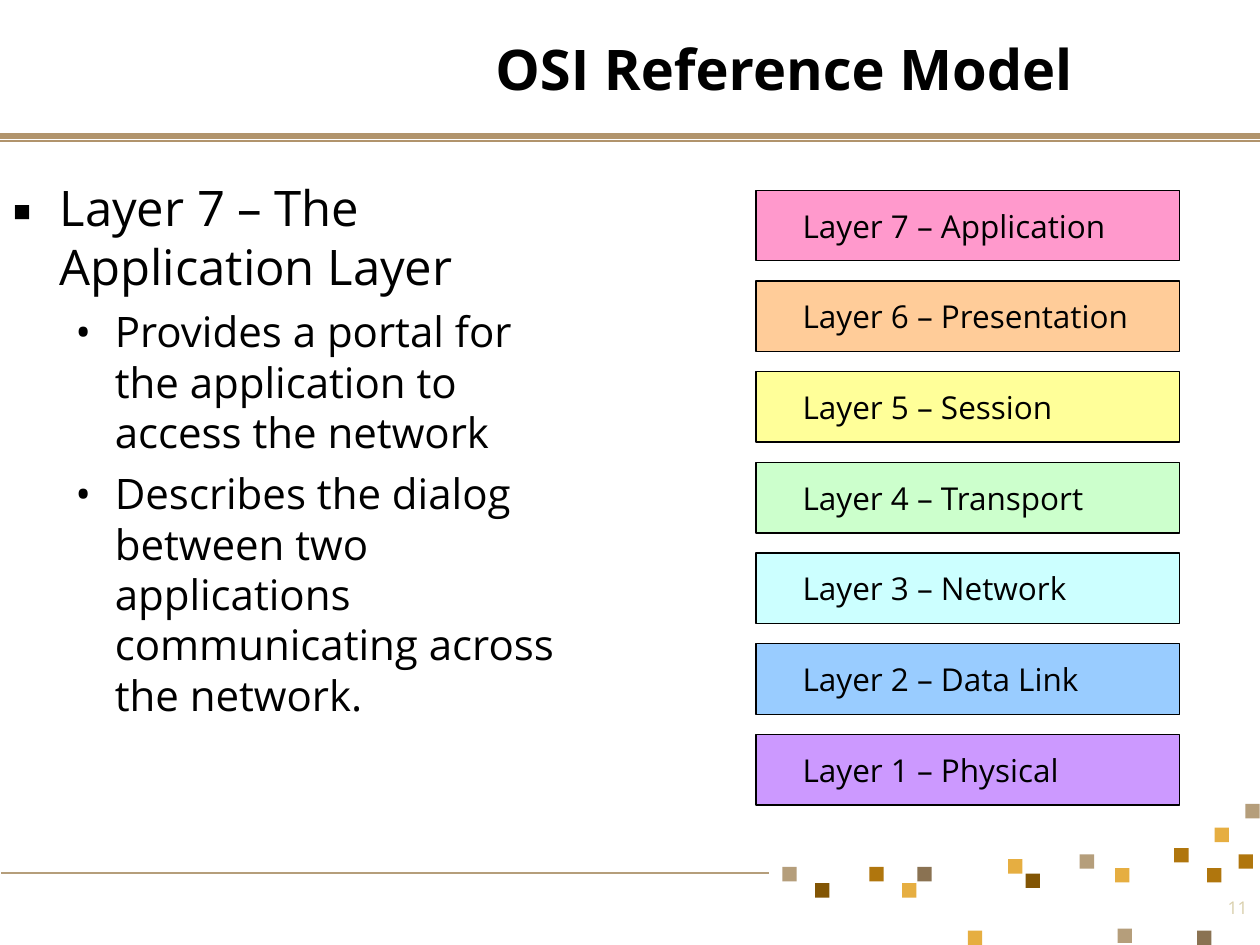
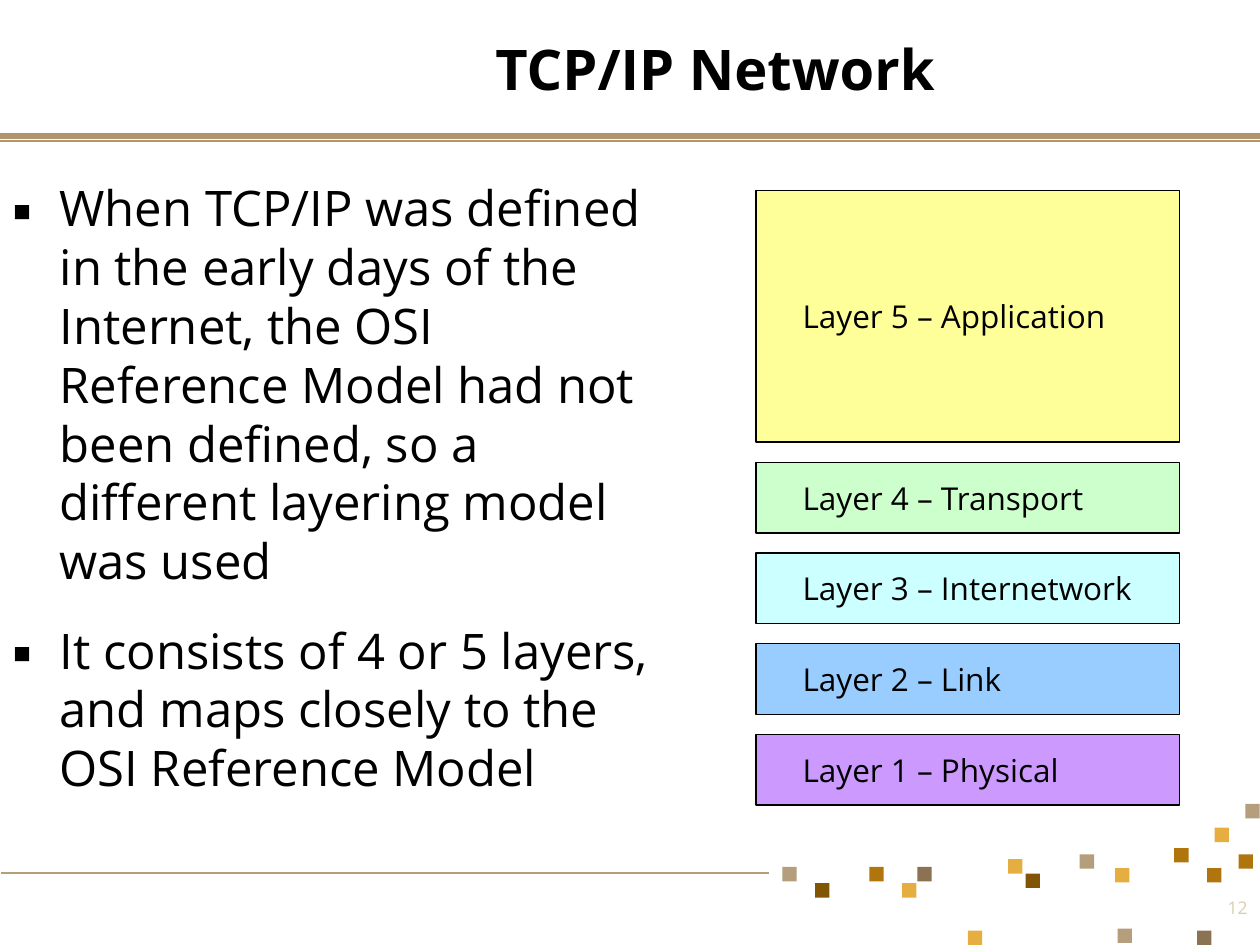
import pptx
import pptx.dml.color
import pptx.enum.shapes
import pptx.enum.text
import pptx.oxml.ns
import pptx.util
from lxml import etree

Pt = pptx.util.Pt
RGBColor = pptx.dml.color.RGBColor
Align = pptx.enum.text.PP_ALIGN
Anchor = pptx.enum.text.MSO_ANCHOR
RECTANGLE = pptx.enum.shapes.MSO_SHAPE.RECTANGLE
STRAIGHT = pptx.enum.shapes.MSO_CONNECTOR.STRAIGHT
qn = pptx.oxml.ns.qn

FONT = "Open Sans"
BLACK = RGBColor(0x00, 0x00, 0x00)
BAND = RGBColor(0xB1, 0x94, 0x6C)
TAN = RGBColor(0xB5, 0x9E, 0x7B)
GOLD = RGBColor(0xE6, 0xAE, 0x41)
AMBER = RGBColor(0xB0, 0x76, 0x0D)
BROWN = RGBColor(0x82, 0x55, 0x04)
TAUPE = RGBColor(0x8A, 0x72, 0x52)
PALE = RGBColor(0xD9, 0xCF, 0xAB)
PINK = RGBColor(0xFF, 0x99, 0xCC)
ORANGE = RGBColor(0xFF, 0xCC, 0x99)
YELLOW = RGBColor(0xFF, 0xFF, 0x99)
GREEN = RGBColor(0xCC, 0xFF, 0xCC)
CYAN = RGBColor(0xCC, 0xFF, 0xFF)
BLUE = RGBColor(0x99, 0xCC, 0xFF)
PURPLE = RGBColor(0xCC, 0x99, 0xFF)

# Points are (level, text); layers are (name, colour, rows), top to bottom.
PAGES = [
    {
        "title": "OSI Reference Model",
        "number": "11",
        "body_width": 342,
        "points": [
            (0, "Layer 7 – The Application Layer"),
            (1, "Provides a portal for the application to access the network"),
            (1, "Describes the dialog between two applications communicating "
                "across the network."),
        ],
        "layers": [
            ("Application", PINK, 1),
            ("Presentation", ORANGE, 1),
            ("Session", YELLOW, 1),
            ("Transport", GREEN, 1),
            ("Network", CYAN, 1),
            ("Data Link", BLUE, 1),
            ("Physical", PURPLE, 1),
        ],
    },
    {
        "title": "TCP/IP Network",
        "number": "12",
        "body_width": 378,
        "points": [
            (0, "When TCP/IP was defined in the early days of the Internet, "
                "the OSI Reference Model had not been defined, so a different "
                "layering model was used"),
            (0, "It consists of 4 or 5 layers, and maps closely to the "
                "OSI Reference Model"),
        ],
        "layers": [
            ("Application", YELLOW, 3),
            ("Transport", GREEN, 1),
            ("Internetwork", CYAN, 1),
            ("Link", BLUE, 1),
            ("Physical", PURPLE, 1),
        ],
    },
]

# Rules are (left, right, y, colour, weight).
RULES = [
    (0, 720, 77.8, BAND, 3),
    (0, 720, 80.6, BAND, 1),
    (0.7, 439.2, 499, TAN, 1),
]

CONFETTI = {
    GOLD: [(694, 473), (637.2, 496.1), (553, 531.8), (515.5, 504.7), (576, 491)],
    TAN: [(638.6, 530.6), (617, 488.2), (447.1, 495.4), (711.6, 459.4)],
    AMBER: [(707.8, 488.2), (689.8, 496.1), (671, 484.6), (496.8, 495.4)],
    BROWN: [(465.8, 504.7), (586.1, 499.2)],
    TAUPE: [(524.2, 495.4), (684, 531.8)],
}
CONFETTI_SIZE = 8.2

# Bullet levels: symbol, text size, text indent, hang and space before.
LEVELS = [
    {"bullet": "▪", "size": 28, "indent": 27, "hang": 27, "before": 17.5},
    {"bullet": "•", "size": 24, "indent": 58.5, "hang": 22.5, "before": 6},
]

STACK_LEFT, STACK_TOP, STACK_WIDTH = 432, 108.72, 241.92
ROW_HEIGHT, ROW_PITCH = 40.32, 51.84


def write(frame, text, size=18, color=BLACK, bold=False, align=Align.LEFT,
          bullet=None, indent=0, hang=0, before=0):
    """Add a paragraph to the frame, filling its empty first one if there is one."""
    first = not frame.text
    para = frame.paragraphs[0] if first else frame.add_paragraph()
    para.alignment = align
    if bullet:
        props = para._p.get_or_add_pPr()
        props.set("marL", str(Pt(indent)))
        props.set("indent", str(-Pt(hang)))
        tint = etree.SubElement(props, qn("a:buClr"))
        etree.SubElement(tint, qn("a:srgbClr"), val=str(color))
        etree.SubElement(props, qn("a:buFont"), typeface=FONT)
        etree.SubElement(props, qn("a:buChar"), char=bullet)
    if before and not first:
        para.space_before = Pt(before)
    span = para.add_run()
    span.text = text
    span.font.name = FONT
    span.font.size = Pt(size)
    span.font.bold = bold
    span.font.color.rgb = color


def add_frame(page, left, top, width, height, anchor=Anchor.TOP):
    box = page.shapes.add_textbox(Pt(left), Pt(top), Pt(width), Pt(height))
    frame = box.text_frame
    frame.word_wrap = True
    frame.vertical_anchor = anchor
    return frame


def add_block(page, left, top, width, height, fill, outline=None):
    block = page.shapes.add_shape(
        RECTANGLE, Pt(left), Pt(top), Pt(width), Pt(height))
    block.shadow.inherit = False
    block.fill.solid()
    block.fill.fore_color.rgb = fill
    if outline is None:
        block.line.fill.background()
    else:
        block.line.color.rgb = outline
        block.line.width = Pt(0.75)
    return block


def add_rule(page, left, right, y, color, weight):
    rule = page.shapes.add_connector(STRAIGHT, Pt(left), Pt(y), Pt(right), Pt(y))
    rule.line.color.rgb = color
    rule.line.width = Pt(weight)
    etree.SubElement(rule._element.spPr, qn("a:effectLst"))


def add_decoration(page):
    for rule in RULES:
        add_rule(page, *rule)
    for color, corners in CONFETTI.items():
        for left, top in corners:
            add_block(page, left, top, CONFETTI_SIZE, CONFETTI_SIZE, color)


def add_layer_stack(page, layers):
    """Stack the layers downwards, numbering them from the bottom."""
    row = 0
    for index, (name, color, rows) in enumerate(layers):
        height = ROW_HEIGHT + (rows - 1) * ROW_PITCH
        block = add_block(page, STACK_LEFT, STACK_TOP + row * ROW_PITCH,
                          STACK_WIDTH, height, color, BLACK)
        frame = block.text_frame
        frame.margin_left = Pt(26.64)
        frame.vertical_anchor = Anchor.MIDDLE
        write(frame, f"Layer {len(layers) - index} – {name}")
        row += rows


def main():
    deck = pptx.Presentation()
    deck.slide_width, deck.slide_height = Pt(720), Pt(540)
    for content in PAGES:
        page = deck.slides.add_slide(deck.slide_layouts[6])
        add_decoration(page)
        title = add_frame(page, 276, 0, 444, 77.8, Anchor.MIDDLE)
        write(title, content["title"], size=32, bold=True)
        body = add_frame(page, 0, 98, content["body_width"], 400)
        for level, text in content["points"]:
            write(body, text, **LEVELS[level])
        add_layer_stack(page, content["layers"])
        number = add_frame(page, 684, 509, 36, 30)
        write(number, content["number"], size=10, color=PALE, align=Align.RIGHT)
    deck.save("out.pptx")


if __name__ == "__main__":
    main()
